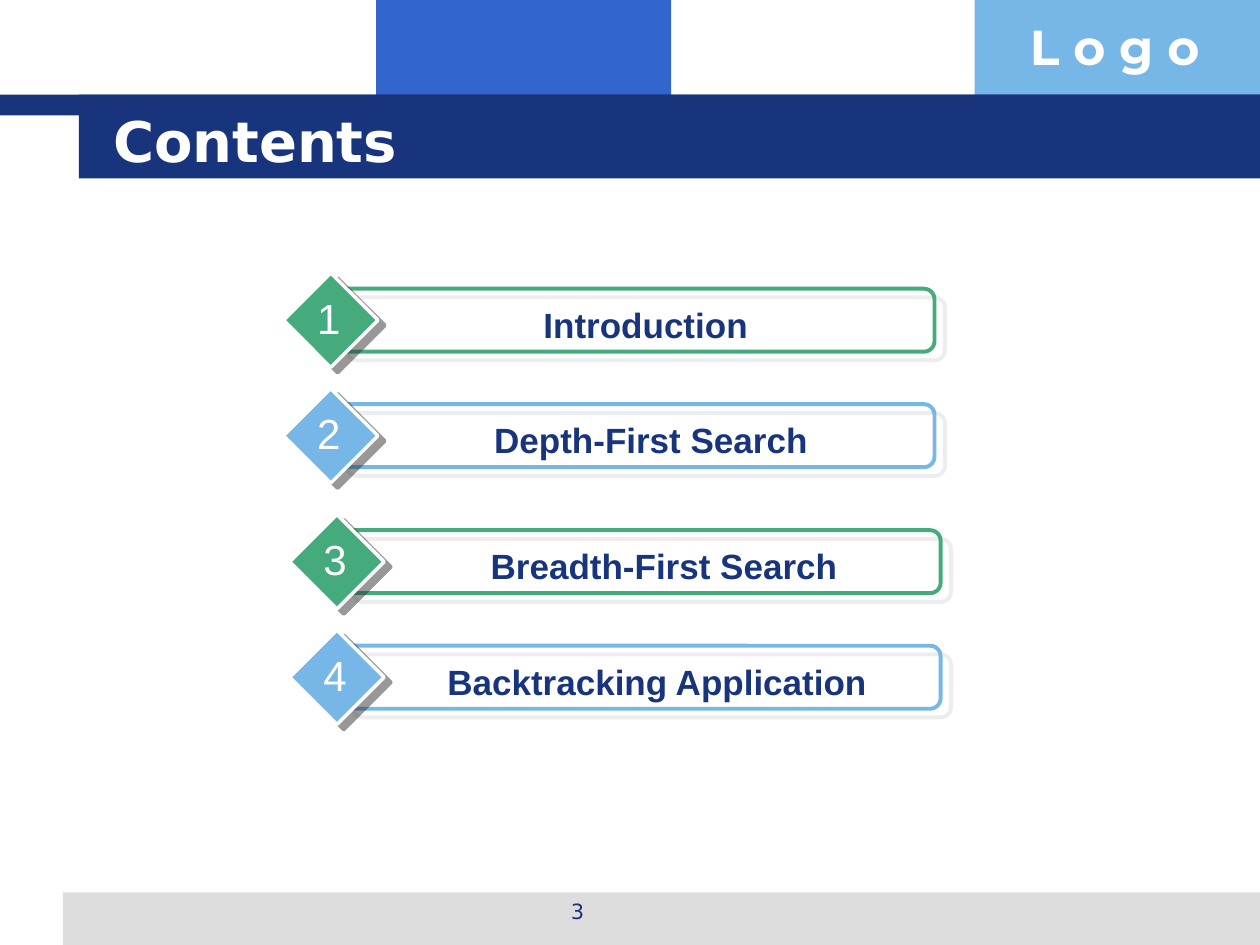
import pptx
import pptx.dml.color
import pptx.enum.shapes
import pptx.enum.text
import pptx.oxml
import pptx.oxml.ns
import pptx.util
from dataclasses import dataclass

Pt = pptx.util.Pt
SHAPE = pptx.enum.shapes.MSO_SHAPE
ALIGN = pptx.enum.text.PP_ALIGN
ANCHOR = pptx.enum.text.MSO_ANCHOR


@dataclass(frozen=True)
class Theme:
    navy: str = "17347D"
    blue: str = "3366CC"
    sky: str = "77B7E7"
    green: str = "45AB7D"
    grey: str = "DDDDDD"
    dark: str = "333333"
    white: str = "FFFFFF"
    heading_font: str = "DejaVu Sans"
    body_font: str = "Arial"
    logo_font: str = "Montserrat"
    title_size: int = 32
    logo_size: int = 28
    number_size: int = 24
    label_size: int = 20
    page_size: int = 12


class SlideBuilder:
    def __init__(self, slide, theme):
        self.s = slide
        self.theme = theme

    def rgb(self, color):
        return pptx.dml.color.RGBColor.from_string(color)

    def shape(self, kind, x, y, w, h, fill=None, line=None, weight=0):
        sp = self.s.shapes.add_shape(kind, Pt(x), Pt(y), Pt(w), Pt(h))
        sp.shadow.inherit = False
        if fill:
            sp.fill.solid()
            sp.fill.fore_color.rgb = self.rgb(fill)
        else:
            sp.fill.background()
        if line:
            sp.line.color.rgb = self.rgb(line)
            sp.line.width = Pt(weight)
        else:
            sp.line.fill.background()
        return sp

    def shadow(self, sp, color, distance, degrees):
        """Add a hard, half-transparent outer shadow."""
        effects = sp._element.spPr.find(pptx.oxml.ns.qn("a:effectLst"))
        effects.append(pptx.oxml.parse_xml(
            f'<a:outerShdw {pptx.oxml.ns.nsdecls("a")} blurRad="0" '
            f'dist="{Pt(distance)}" dir="{degrees * 60000}" '
            f'algn="ctr" rotWithShape="0"><a:srgbClr val="{color}">'
            '<a:alpha val="50000"/></a:srgbClr></a:outerShdw>'))

    def text(self, text, x, y, w, h, size, color, font, bold=False,
             align=ALIGN.CENTER, anchor=ANCHOR.TOP, wrap=True):
        tf = self.s.shapes.add_textbox(Pt(x), Pt(y), Pt(w), Pt(h)).text_frame
        tf.word_wrap = wrap
        tf.vertical_anchor = anchor
        tf.text = text
        p = tf.paragraphs[0]
        p.alignment = align
        r = p.runs[0]
        r.font.size = Pt(size)
        r.font.name = font
        r.font.bold = bold
        r.font.color.rgb = self.rgb(color)

    def entry(self, number, label, x, y, color, label_x, label_w):
        """Draw one contents row; x and y are the diamond's corner."""
        t = self.theme
        bar = self.shape(SHAPE.ROUNDED_RECTANGLE, x + 30, y + 9, 342, 36,
                         line=color, weight=2.25)
        self.shadow(bar, t.grey, 7.8, 40)
        diamond = self.shape(SHAPE.DIAMOND, x, y, 54, 54, color, t.white, 2)
        self.shadow(diamond, t.dark, 5, 37)
        self.text(label, label_x, y + 13.7, label_w, 31.5,
                  t.label_size, t.navy, t.body_font, bold=True)
        self.text(str(number), x + 12.2, y + 7.5, 27, 36,
                  t.number_size, t.white, t.body_font, wrap=False)


def main():
    prs = pptx.Presentation()
    prs.slide_width, prs.slide_height = Pt(720), Pt(540)
    t = Theme()
    b = SlideBuilder(prs.slides.add_slide(prs.slide_layouts[6]), t)

    # Header blocks, footer strip and title band
    for x, y, w, h, color in [
        (215, 0, 168.5, 66, t.blue),
        (557, 0, 163, 66, t.sky),
        (36, 510, 684, 30, t.grey),
        (0, 54, 720, 12, t.navy),
        (45, 54, 675, 48, t.navy),
    ]:
        b.shape(SHAPE.RECTANGLE, x, y, w, h, color)

    # Logo text, page number and title
    b.text("L o g o", 581.5, 6, 138.5, 41, t.logo_size, t.white,
           t.logo_font, bold=True, align=ALIGN.LEFT)
    b.text("3", 246, 510, 168, 25, t.page_size, t.navy, t.heading_font)
    b.text("Contents", 57.5, 57.5, 614, 45, t.title_size, t.white,
           t.heading_font, bold=True, align=ALIGN.LEFT, anchor=ANCHOR.MIDDLE)

    # Contents rows in alternating colours
    rows = [
        ("Introduction", 162, 156, 210, 318),
        ("Depth-First Search", 162, 222, 216, 312),
        ("Breadth-First Search", 165.5, 294, 213, 333),
        ("Backtracking Application", 165.5, 360, 219.5, 312),
    ]
    for i, (label, x, y, label_x, label_w) in enumerate(rows):
        color = (t.green, t.sky)[i % 2]
        b.entry(i + 1, label, x, y, color, label_x, label_w)

    prs.save("out.pptx")


if __name__ == "__main__":
    main()
